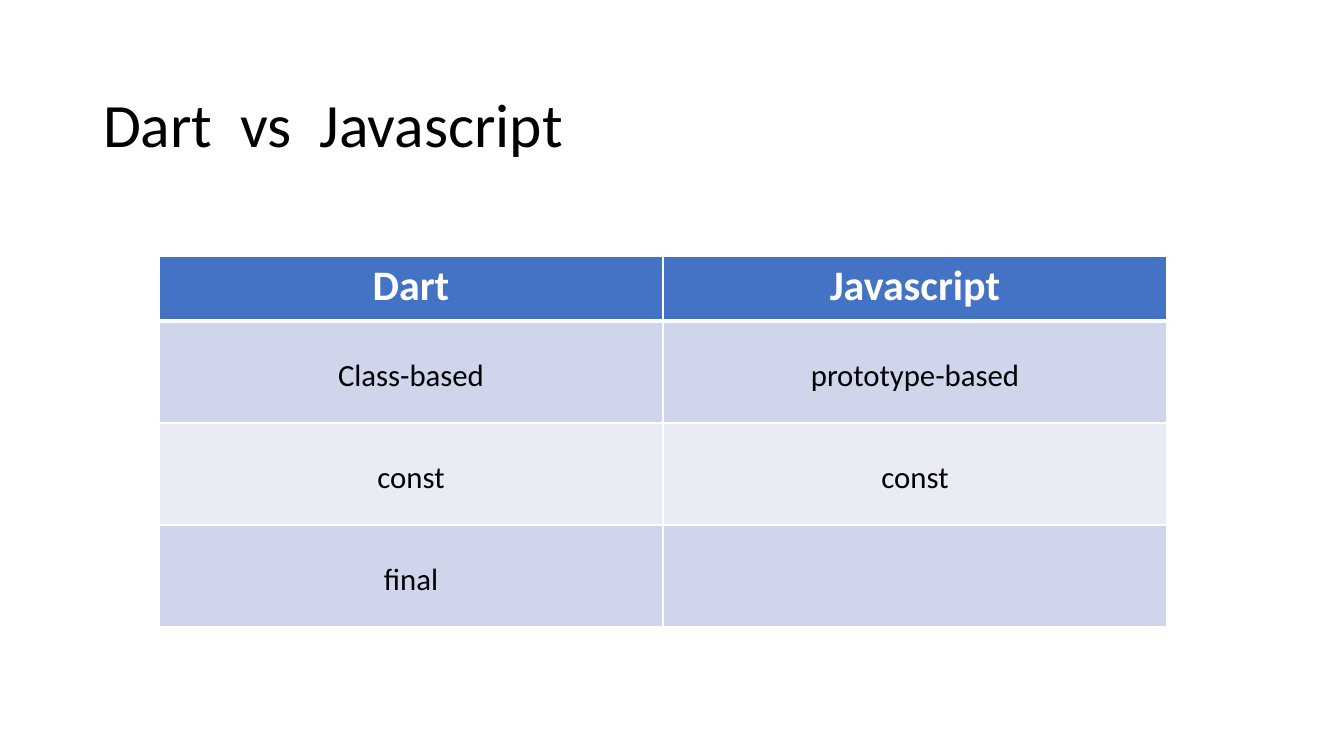
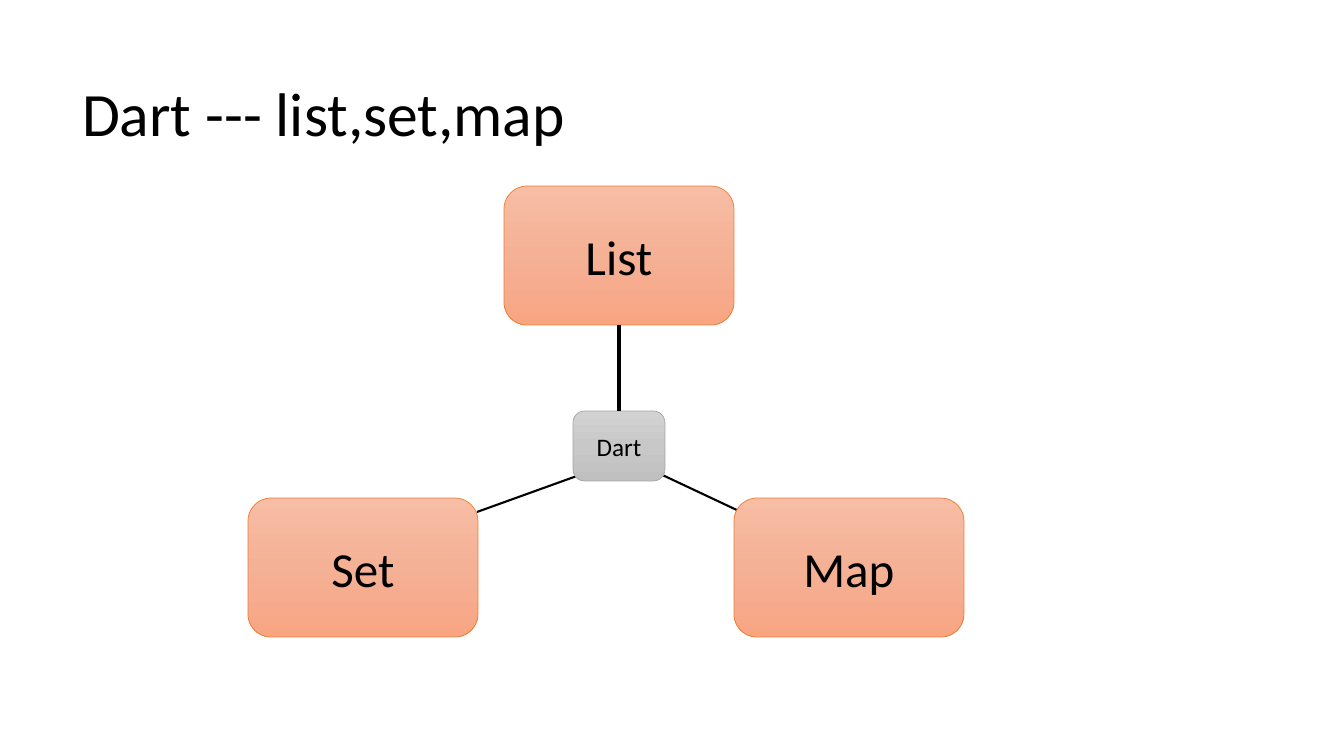
from copy import deepcopy
from dataclasses import dataclass

from lxml.etree import SubElement
from pptx import Presentation
from pptx.dml.color import RGBColor
from pptx.enum.shapes import MSO_CONNECTOR as Connector, MSO_SHAPE as Preset
from pptx.enum.text import MSO_ANCHOR as Anchor, MSO_AUTO_SIZE as AutoSize, PP_ALIGN as Align
from pptx.oxml.ns import qn
from pptx.util import Emu, Pt

PX_PER_INCH = 100.8
FONT = "Calibri"
BLACK = RGBColor(0x00, 0x00, 0x00)
WHITE = RGBColor(0xFF, 0xFF, 0xFF)
HEADER_BLUE = RGBColor(0x44, 0x72, 0xC4)
BAND_DARK = RGBColor(0xCF, 0xD5, 0xEA)
BAND_LIGHT = RGBColor(0xE9, 0xEB, 0xF5)
ORANGE_LINE = RGBColor(0xED, 0x7D, 0x31)
ORANGE_STOPS = (RGBColor(0xF7, 0xBD, 0xA5), RGBColor(0xF5, 0xB1, 0x96), RGBColor(0xF8, 0xA5, 0x82))
GRAY_LINE = RGBColor(0xA5, 0xA5, 0xA5)
GRAY_STOPS = (RGBColor(0xD2, 0xD2, 0xD2), RGBColor(0xC8, 0xC8, 0xC8), RGBColor(0xC0, 0xC0, 0xC0))


@dataclass(frozen=True)
class Box:
    left: int
    top: int
    width: int
    height: int

    def emu(self) -> tuple:
        return tuple(px(n) for n in (self.left, self.top, self.width, self.height))


@dataclass(frozen=True)
class Node:
    text: str
    box: Box
    size: int = 35
    stops: tuple = ORANGE_STOPS
    outline: RGBColor = ORANGE_LINE


@dataclass(frozen=True)
class Spoke:
    x1: int
    y1: int
    x2: int
    y2: int
    weight: float = 1.5


def px(length: int) -> Emu:
    return Emu(round(length * 914400 / PX_PER_INCH))


def style_paragraph(paragraph, size: int, color: RGBColor = BLACK, bold: bool = False,
                    align: Align = Align.CENTER) -> None:
    paragraph.alignment = align
    font = paragraph.font
    font.name, font.size, font.bold = FONT, Pt(size), bold
    font.color.rgb = color


def add_titled_slide(presentation, text: str, box: Box):
    slide = presentation.slides.add_slide(presentation.slide_layouts[5])
    title = slide.shapes.title
    title.left, title.top, title.width, title.height = box.emu()
    frame = title.text_frame
    frame.text = text
    frame.word_wrap = True
    frame.auto_size = AutoSize.NONE
    frame.vertical_anchor = Anchor.MIDDLE
    paragraph = frame.paragraphs[0]
    paragraph.line_spacing = 0.9
    style_paragraph(paragraph, 44, align=Align.LEFT)
    return slide


def add_cell_borders(cell, top: int, bottom: int) -> None:
    properties = cell._tc.get_or_add_tcPr()
    for side, weight in (("L", 1), ("R", 1), ("T", top), ("B", bottom)):
        line = SubElement(properties, qn(f"a:ln{side}"), w=str(Pt(weight)))
        SubElement(SubElement(line, qn("a:solidFill")), qn("a:srgbClr"), val=str(WHITE))


def add_comparison_table(slide, rows: tuple, box: Box, header_height: int) -> None:
    table = slide.shapes.add_table(len(rows), len(rows[0]), *box.emu()).table
    table.horz_banding = False
    body_height = (box.height - header_height) // (len(rows) - 1)
    for column in table.columns:
        column.width = px(box.width // len(rows[0]))
    for r, texts in enumerate(rows):
        header = r == 0
        table.rows[r].height = px(header_height if header else body_height)
        for c, text in enumerate(texts):
            cell = table.cell(r, c)
            add_cell_borders(cell, top=3 if r == 1 else 1, bottom=3 if header else 1)
            cell.fill.solid()
            cell.fill.fore_color.rgb = HEADER_BLUE if header else (BAND_LIGHT, BAND_DARK)[r % 2]
            cell.margin_top = px(5 if header else 36)
            cell.text = text
            paragraph = cell.text_frame.paragraphs[0]
            if header:
                style_paragraph(paragraph, 30, WHITE, bold=True)
            else:
                style_paragraph(paragraph, 22)


def fill_gradient(shape, colors: tuple) -> None:
    shape.fill.gradient()
    shape.fill.gradient_angle = 270
    first = shape._element.xpath(".//a:gsLst/a:gs")[0]
    first.addnext(deepcopy(first))
    for i, (stop, color) in enumerate(zip(shape.fill.gradient_stops, colors)):
        stop.position = i / (len(colors) - 1)
        stop.color.rgb = color


def add_node(slide, node: Node):
    shape = slide.shapes.add_shape(Preset.ROUNDED_RECTANGLE, *node.box.emu())
    shape.shadow.inherit = False
    fill_gradient(shape, node.stops)
    shape.line.color.rgb = node.outline
    shape.line.width = Pt(0.5)
    frame = shape.text_frame
    frame.text = node.text
    frame.word_wrap = True
    frame.vertical_anchor = Anchor.MIDDLE
    style_paragraph(frame.paragraphs[0], node.size)
    return shape


def add_spoke(slide, spoke: Spoke):
    ends = (px(n) for n in (spoke.x1, spoke.y1, spoke.x2, spoke.y2))
    connector = slide.shapes.add_connector(Connector.STRAIGHT, *ends)
    connector.line.color.rgb = BLACK
    connector.line.width = Pt(spoke.weight)
    SubElement(connector._element.spPr, qn("a:effectLst"))
    return connector


def build_comparison(presentation) -> None:
    slide = add_titled_slide(presentation, "Dart  vs  Javascript", Box(93, 55, 1159, 146))
    rows = (
        ("Dart", "Javascript"),
        ("Class-based", "prototype-based"),
        ("const", "const"),
        ("final", ""),
    )
    add_comparison_table(slide, rows, Box(159, 256, 1008, 371), header_height=65)


def build_collections(presentation) -> None:
    slide = add_titled_slide(presentation, "Dart --- list,set,map", Box(72, 29, 1142, 176))
    for spoke in (Spoke(656, 472, 741, 512), Spoke(588, 472, 477, 512)):
        add_spoke(slide, spoke)
    hub = add_node(slide, Node("Dart", Box(573, 411, 92, 70), 18, GRAY_STOPS, GRAY_LINE))
    top, *_ = [
        add_node(slide, Node(text, Box(left, y, 230, 139)))
        for text, left, y in (("List", 504, 186), ("Map", 734, 498), ("Set", 248, 498))
    ]
    stem = add_spoke(slide, Spoke(619, 325, 619, 411, 2.25))
    stem.begin_connect(top, 2)
    stem.end_connect(hub, 0)


def main() -> None:
    presentation = Presentation()
    presentation.slide_width, presentation.slide_height = px(1344), px(756)
    build_comparison(presentation)
    build_collections(presentation)
    presentation.save("out.pptx")


if __name__ == "__main__":
    main()
